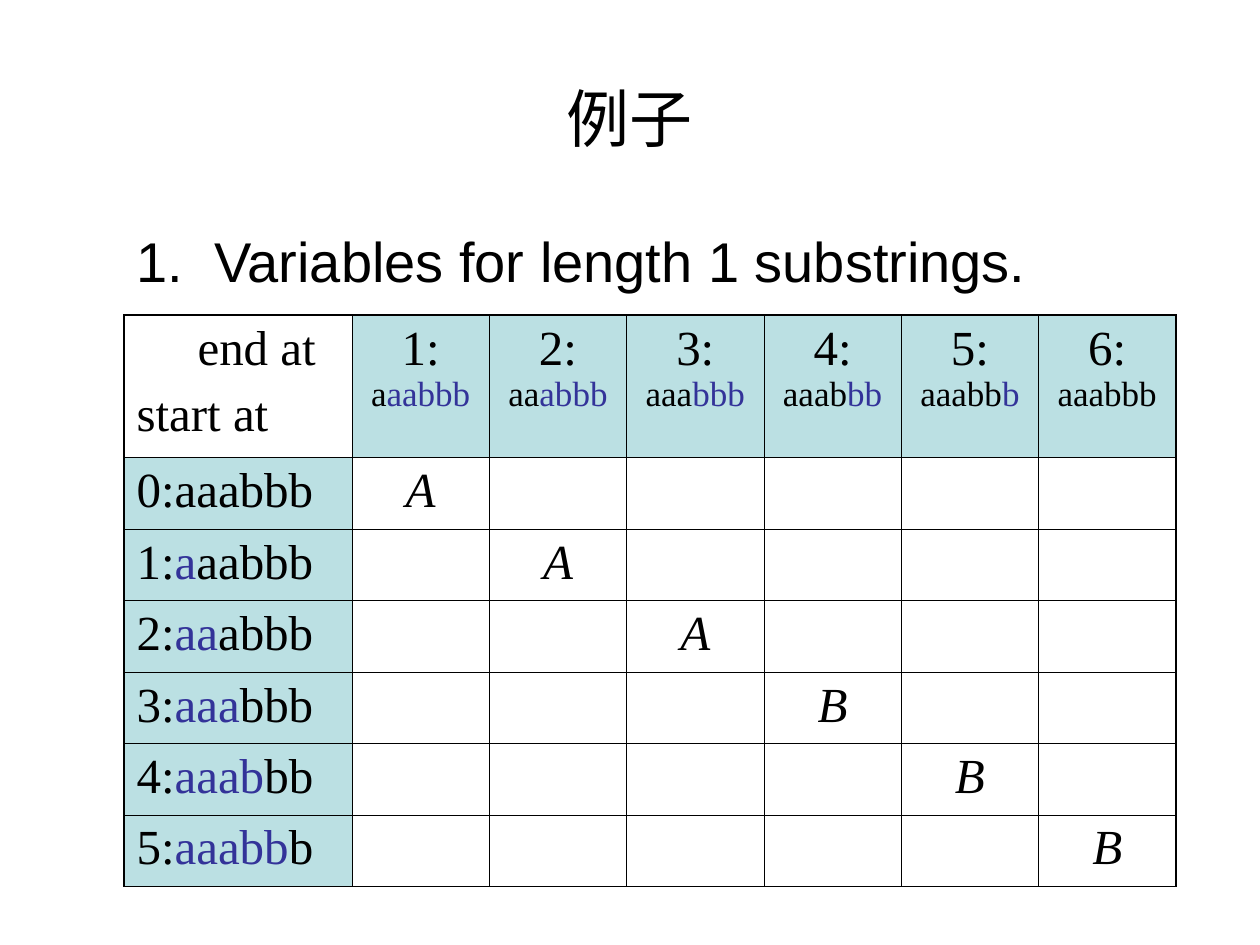
from dataclasses import dataclass

from lxml import etree
from pptx import Presentation
from pptx.dml.color import RGBColor
from pptx.enum.text import MSO_ANCHOR, PP_ALIGN
from pptx.oxml.ns import qn
from pptx.util import Pt

CENTER = PP_ALIGN.CENTER
LEFT = PP_ALIGN.LEFT
TOP = MSO_ANCHOR.TOP
MIDDLE = MSO_ANCHOR.MIDDLE
EMU_PER_PX = 914400 / 126


@dataclass(frozen=True)
class Theme:
    ink: str = "000000"
    muted: str = "333399"
    header: str = "BBE0E3"
    sans: str = "Arial"
    serif: str = "Times New Roman"
    title: int = 36
    body: int = 32
    cell: int = 28
    small: int = 20
    thin: float = 0.45
    thick: float = 1.08


T = Theme()


@dataclass(frozen=True)
class Run:
    text: str
    size: int = T.cell
    color: str = T.ink
    font: str = T.serif
    italic: bool = False


@dataclass(frozen=True)
class Para:
    runs: tuple[Run, ...]
    align: PP_ALIGN = LEFT
    before: int = 0
    margin: int = 0
    indent: int = 0


@dataclass(frozen=True)
class Box:
    left: int
    top: int
    width: int
    height: int
    para: Para
    anchor: MSO_ANCHOR = TOP


WORD = "aaabbb"
N = len(WORD)
TABLE = (124, 315, 1052, 571)
LABEL_WIDTH, HEADER_HEIGHT = 228, 142
BOXES = (
    Box(63, 38, 1134, 158,
        Para((Run("例子", T.title, font=T.sans),), CENTER), MIDDLE),
    Box(124, 220, 1042, 567,
        Para((Run("1.\tVariables for length 1 substrings.", T.body, font=T.sans),),
             margin=78, indent=-78)),
)
CORNER = (
    Para((Run("end at"),), margin=61),
    Para((Run("start at"),), before=7),
)


def px(n: int) -> int:
    return round(n * EMU_PER_PX)


def write(tf, paras: tuple[Para, ...]) -> None:
    for i, para in enumerate(paras):
        p = tf.add_paragraph() if i else tf.paragraphs[0]
        for name, value in {"alignment": para.align,
                            "space_before": Pt(para.before)}.items():
            setattr(p, name, value)
        pPr = p._p.get_or_add_pPr()
        for name, value in {"marL": para.margin, "indent": para.indent}.items():
            pPr.set(name, str(px(value)))
        for run in para.runs:
            r = p.add_run()
            r.text = run.text
            fmt = {"name": run.font, "size": Pt(run.size), "italic": run.italic}
            for name, value in fmt.items():
                setattr(r.font, name, value)
            r.font.color.rgb = RGBColor.from_string(run.color)


def add_box(slide, box: Box) -> None:
    sp = slide.shapes.add_textbox(px(box.left), px(box.top),
                                  px(box.width), px(box.height))
    tf = sp.text_frame
    for name, value in {"word_wrap": True, "vertical_anchor": box.anchor}.items():
        setattr(tf, name, value)
    write(tf, (box.para,))


def add_borders(cell, row: int, col: int) -> None:
    tcPr = cell._tc.get_or_add_tcPr()
    outer = {"lnL": col == 0, "lnR": col == N, "lnT": row == 0, "lnB": row == N}
    for side, is_outer in outer.items():
        width = Pt(T.thick if is_outer else T.thin)
        ln = etree.SubElement(tcPr, qn(f"a:{side}"), w=str(width))
        fill = etree.SubElement(ln, qn("a:solidFill"))
        etree.SubElement(fill, qn("a:srgbClr"), val=T.ink)


def cell_paras(row: int, col: int) -> tuple[Para, ...]:
    if row == col == 0:
        return CORNER
    if row == 0:
        runs = (Run(f"{col}: "), Run(WORD[:col], T.small),
                Run(WORD[col:], T.small, T.muted))
    elif col == 0:
        start = row - 1
        runs = (Run(f"{start}:"), Run(WORD[:start], color=T.muted),
                Run(WORD[start:]))
    elif row == col:
        runs = (Run(WORD[row - 1].upper(), italic=True),)
    else:
        return ()
    return (Para(tuple(r for r in runs if r.text), CENTER if col else LEFT),)


def add_substring_table(slide) -> None:
    left, top, width, height = TABLE
    table = slide.shapes.add_table(N + 1, N + 1, px(left), px(top),
                                   px(width), px(height)).table
    for name in ("first_row", "horz_banding"):
        setattr(table, name, False)
    for i in range(N + 1):
        table.columns[i].width = px(width - LABEL_WIDTH) // N if i else px(LABEL_WIDTH)
        table.rows[i].height = px(height - HEADER_HEIGHT) // N if i else px(HEADER_HEIGHT)
    for row in range(N + 1):
        for col in range(N + 1):
            cell = table.cell(row, col)
            add_borders(cell, row, col)
            if (row == 0) != (col == 0):
                cell.fill.solid()
                cell.fill.fore_color.rgb = RGBColor.from_string(T.header)
            else:
                cell.fill.background()
            write(cell.text_frame, cell_paras(row, col))


def main() -> None:
    prs = Presentation()
    prs.slide_width, prs.slide_height = px(1260), px(945)
    slide = prs.slides.add_slide(prs.slide_layouts[6])
    for box in BOXES:
        add_box(slide, box)
    add_substring_table(slide)
    prs.save("out.pptx")


if __name__ == "__main__":
    main()
